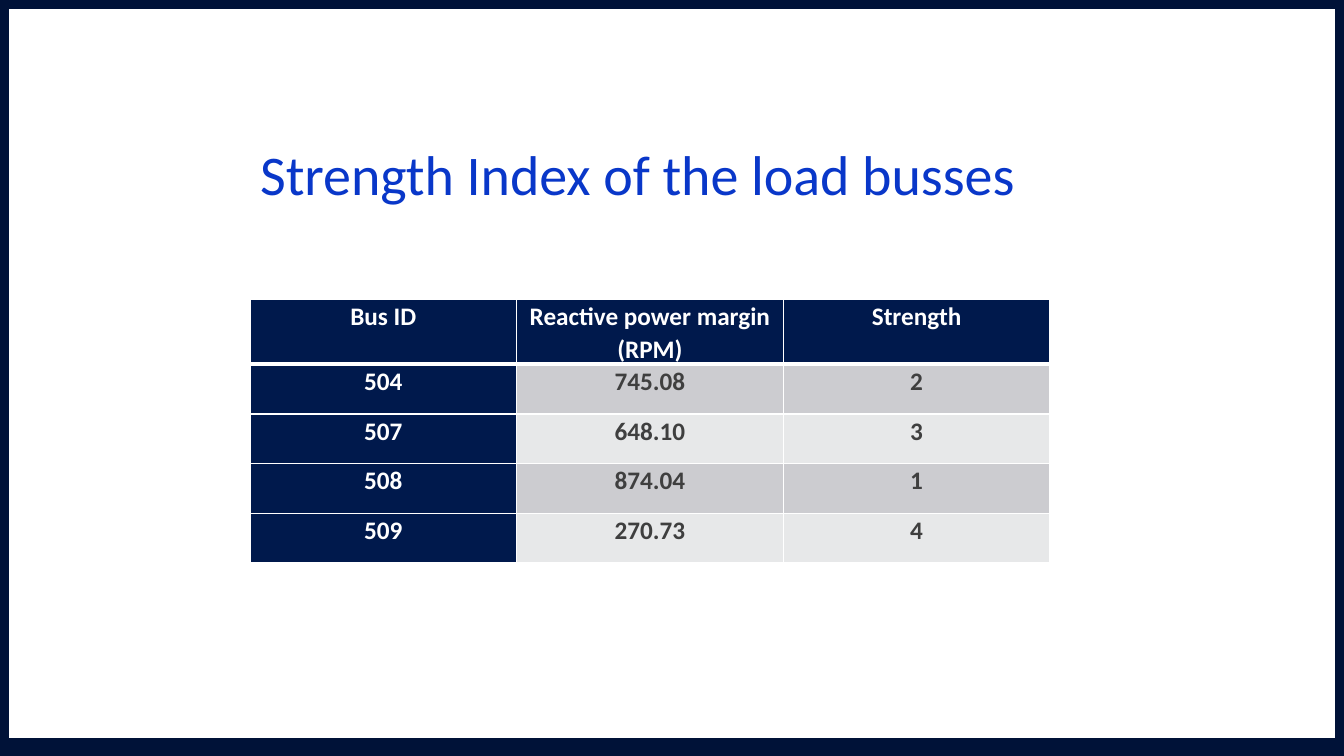
from lxml.etree import SubElement
from pptx import Presentation
from pptx.dml.color import RGBColor
from pptx.enum.shapes import MSO_SHAPE
from pptx.enum.text import MSO_ANCHOR, MSO_AUTO_SIZE, PP_ALIGN
from pptx.oxml.ns import qn
from pptx.util import Cm, Pt

NAVY, WHITE, GREY = "00194C", "FFFFFF", "3F3F3F"
BANDS = ("CCCCD0", "E7E8E9")
ROWS = [
    ("Bus ID", "Reactive power margin (RPM)", "Strength"),
    ("504", "745.08", "2"),
    ("507", "648.10", "3"),
    ("508", "874.04", "1"),
    ("509", "270.73", "4"),
]


def rgb(color):
    """Return the colour of a hex string."""
    return RGBColor.from_string(color)


def write(tf, text, size=18, color=WHITE, bold=False, align=PP_ALIGN.LEFT, spacing=1.0):
    """Put formatted text into the first paragraph of a text frame."""
    p = tf.paragraphs[0]
    p.alignment = align
    p.line_spacing = spacing
    r = p.add_run()
    r.text = text
    r.font.name = "Calibri"
    r.font.size = Pt(size)
    r.font.bold = bold
    r.font.color.rgb = rgb(color)


def set_borders(cell, **widths):
    """Draw white cell borders with the widths in points given by side."""
    tc_pr = cell._tc.get_or_add_tcPr()
    for side in "LRTB":
        ln = SubElement(tc_pr, qn(f"a:ln{side}"), w=str(Pt(widths.get(side, 1))))
        fill = SubElement(ln, qn("a:solidFill"))
        SubElement(fill, qn("a:srgbClr"), val=WHITE)


def add_frame(s, x, y, w, h):
    """Outline the slide."""
    sp = s.shapes.add_shape(MSO_SHAPE.RECTANGLE, Cm(x), Cm(y), Cm(w), Cm(h))
    sp.shadow.inherit = False
    sp.fill.background()
    sp.line.color.rgb = rgb("001238")
    sp.line.width = Pt(12.5)


def add_title(s, x, y, w, h):
    """Place and fill the title placeholder."""
    sp = s.shapes.title
    sp.left, sp.top, sp.width, sp.height = Cm(x), Cm(y), Cm(w), Cm(h)
    tf = sp.text_frame
    tf.word_wrap = False
    tf.auto_size = MSO_AUTO_SIZE.SHAPE_TO_FIT_TEXT
    tf.vertical_anchor = MSO_ANCHOR.TOP
    write(tf, "Strength Index of the load busses", size=40, color="0937C9")


def add_strength_table(s, x, y, w, h, header_h=1.64):
    """Build the table of load busses with a header row and header column."""
    table = s.shapes.add_table(len(ROWS), len(ROWS[0]), Cm(x), Cm(y), Cm(w), Cm(h)).table
    for col in table.columns:
        col.width = Cm(w / len(ROWS[0]))
    for i, values in enumerate(ROWS):
        table.rows[i].height = Cm((h - header_h) / (len(ROWS) - 1) if i else header_h)
        for j, text in enumerate(values):
            cell = table.cell(i, j)
            is_header = i == 0 or j == 0
            set_borders(cell, T=3 if i == 1 else 1, B=1 if i else 3)
            cell.fill.solid()
            cell.fill.fore_color.rgb = rgb(NAVY if is_header else BANDS[(i - 1) % 2])
            cell.margin_left = cell.margin_right = Cm(0.18)
            cell.margin_top = cell.margin_bottom = 0
            write(cell.text_frame, text, color=WHITE if is_header else GREY,
                  bold=True, align=PP_ALIGN.CENTER, spacing=1.07)


def main():
    """Build the slide and save it."""
    prs = Presentation()
    prs.slide_width, prs.slide_height = Cm(33.87), Cm(19.05)
    s = prs.slides.add_slide(prs.slide_layouts[5])
    s.background.fill.solid()
    s.background.fill.fore_color.rgb = rgb(WHITE)
    add_frame(s, 0, 0, 33.87, 18.82)
    add_strength_table(s, 6.3, 7.54, 20.16, 6.64)
    add_title(s, 6.3, 3.4, 19.71, 1.96)
    prs.save("out.pptx")


if __name__ == "__main__":
    main()
